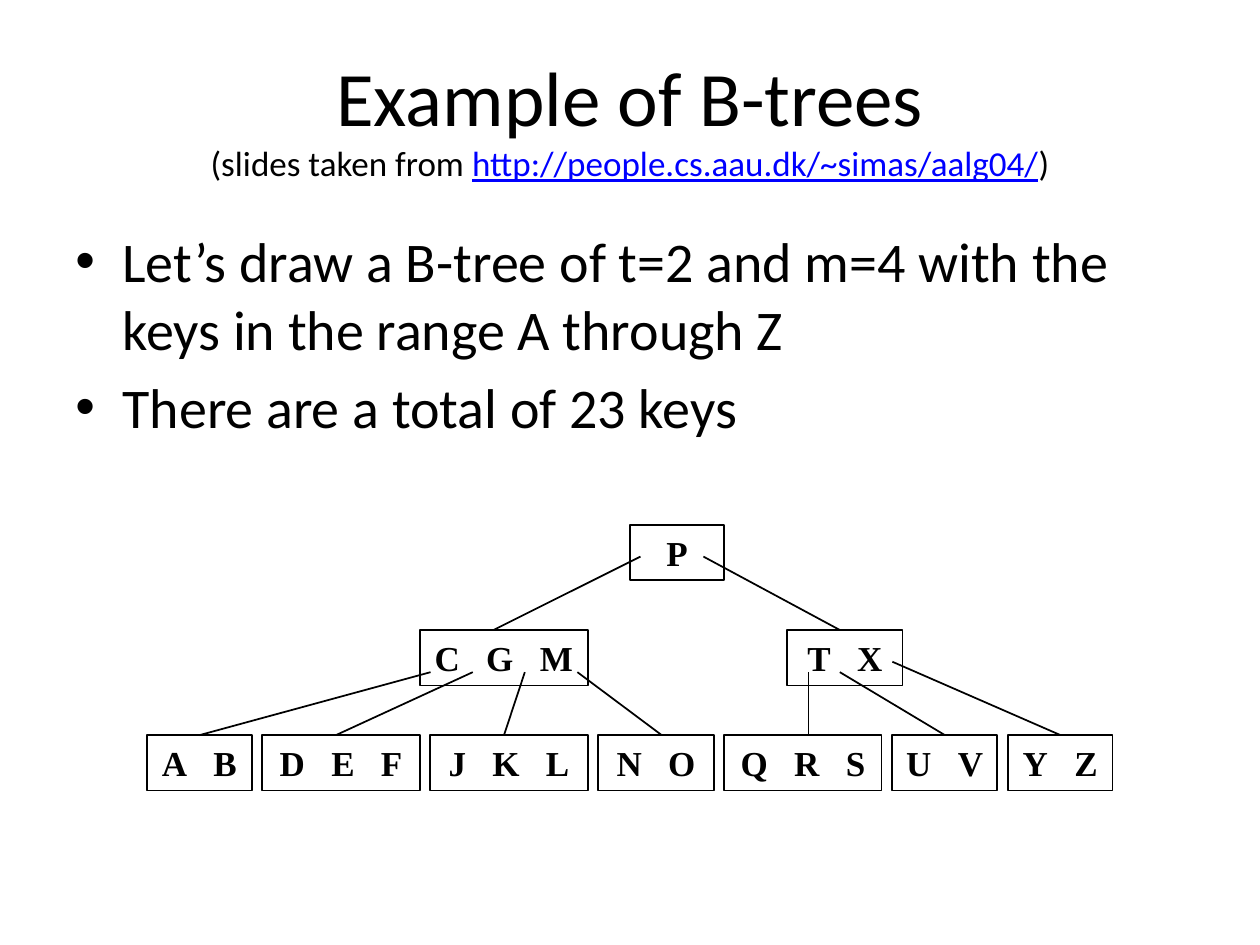
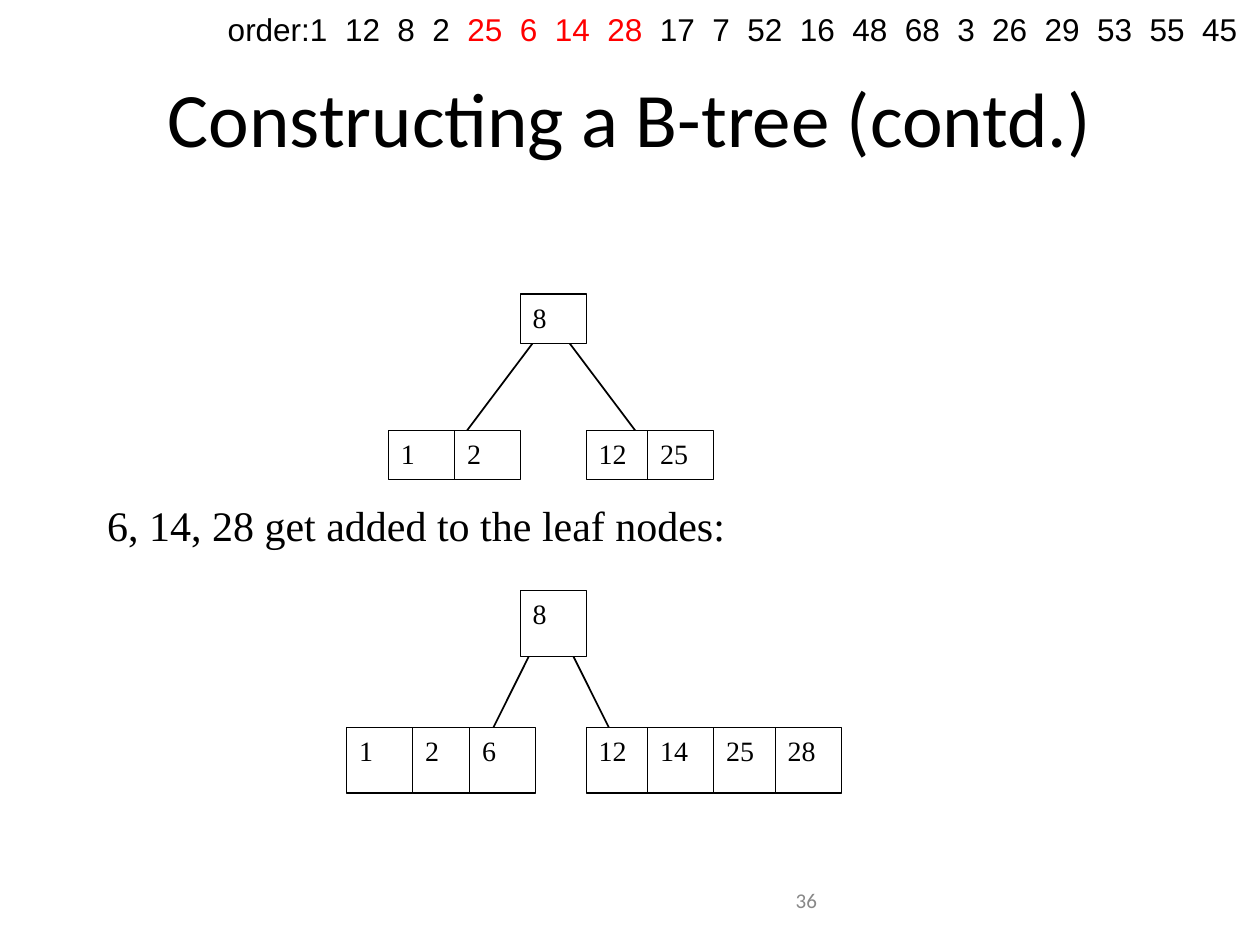
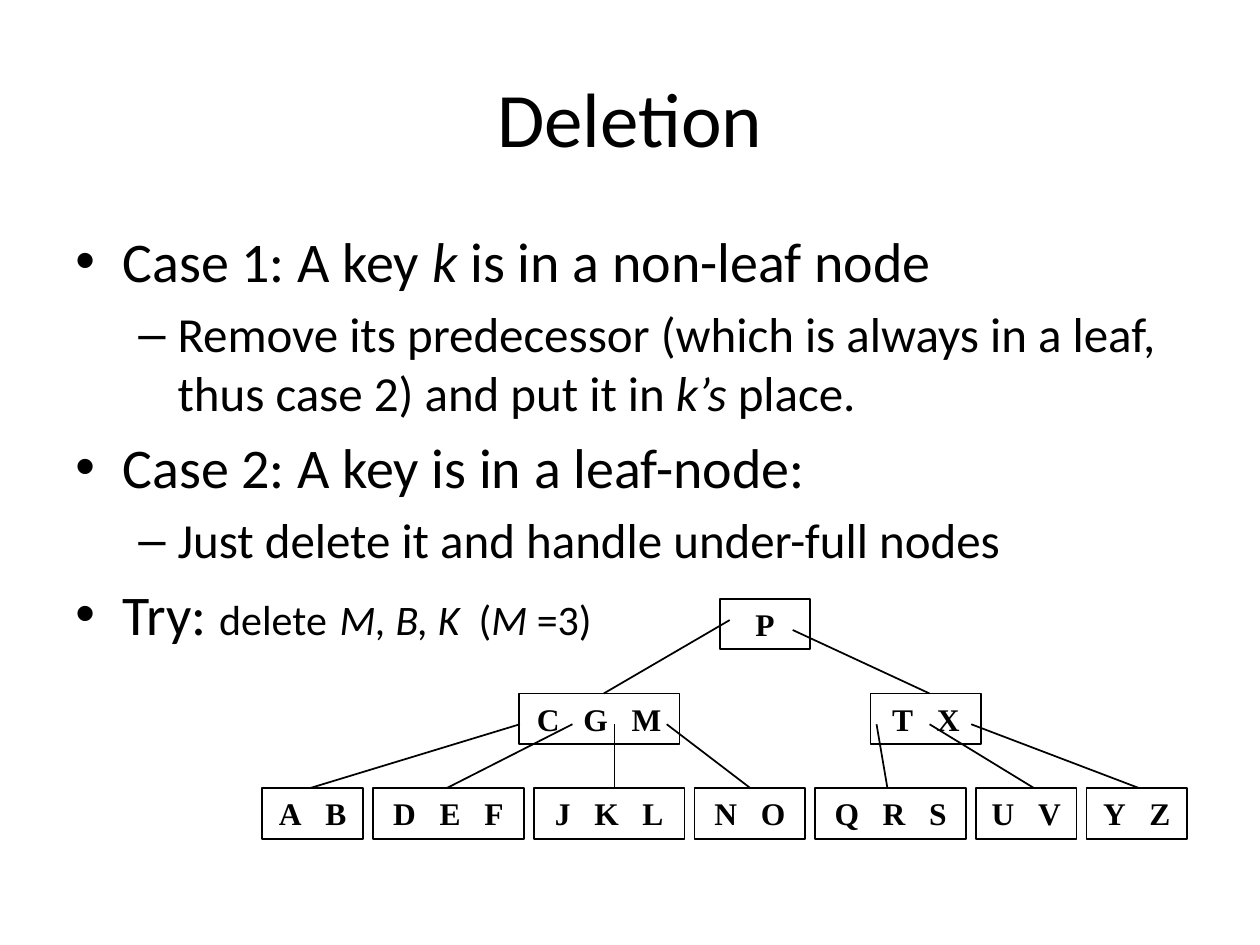
from dataclasses import dataclass

from lxml import etree
from pptx import Presentation
from pptx.dml.color import RGBColor
from pptx.enum.shapes import MSO_CONNECTOR, MSO_SHAPE
from pptx.enum.text import MSO_ANCHOR, PP_ALIGN
from pptx.oxml.ns import qn
from pptx.util import Cm, Pt

LEFT, CENTER, RIGHT = PP_ALIGN.LEFT, PP_ALIGN.CENTER, PP_ALIGN.RIGHT
TOP, MIDDLE = MSO_ANCHOR.TOP, MSO_ANCHOR.MIDDLE
RECT, STRAIGHT = MSO_SHAPE.RECTANGLE, MSO_CONNECTOR.STRAIGHT


@dataclass(frozen=True)
class Theme:
    ink: RGBColor = RGBColor(0, 0, 0)
    paper: RGBColor = RGBColor(255, 255, 255)
    link: RGBColor = RGBColor(0, 0, 255)
    mark: RGBColor = RGBColor(255, 0, 0)
    grey: RGBColor = RGBColor(0x88, 0x88, 0x88)
    sans: str = "Calibri"
    serif: str = "Times New Roman"
    plain: str = "Arial"
    title: float = 44
    source: float = 20
    point: float = 32
    sub: float = 28
    note: float = 24
    order: float = 18
    cell: float = 16
    foot: float = 12


THEME = Theme()


@dataclass(frozen=True)
class Tree:
    """Place of the letter tree; lengths in cm, shift in grid units."""
    left: float
    top: float
    span: float
    step: float
    high: float
    size: float
    shift: float
    lines: tuple  # per level: (start x, start y, end x)


# Widths and offsets are counted in grid units, one unit between leaves.
ROOT = (("P", 46, 9),)
INNER = (("CGM", 26, 16), ("TX", 61, 11))
LEAVES = (("AB", 10), ("DEF", 15), ("JKL", 15), ("NO", 11),
          ("QRS", 15), ("UV", 10), ("YZ", 10))
UNITS = sum(wide for _, wide in LEAVES) + len(LEAVES) - 1

LARGE = Tree(2.96, 10.58, 19.47, 2.12, 1.12, 20, 0, (
    ((12.91, 11.22, 9.95), (14.18, 11.22, 16.93)),
    ((8.68, 13.55, 4.02), (9.53, 13.55, 6.77), (10.58, 13.55, 10.16),
     (11.64, 13.55, 13.34), (16.3, 13.55, 16.3), (16.93, 13.55, 19.05),
     (17.99, 13.34, 21.38))))
SMALL = Tree(5.29, 12.07, 18.64, 1.91, 1.02, 18, -0.5, (
    ((14.71, 12.5, 12.17), (15.98, 12.7, 18.74)),
    ((10.48, 14.6, 6.24), (11.54, 14.6, 9), (12.39, 14.6, 12.39),
     (13.44, 14.6, 15.13), (17.67, 14.6, 17.89), (18.74, 14.6, 20.85),
     (19.58, 14.6, 22.97))))


def style(par, size, face, color=THEME.ink, bold=False, align=LEFT):
    par.alignment = align
    font = par.font
    font.size, font.name, font.bold = Pt(size), face, bold
    font.color.rgb = color


def add_run(par, text, size=None, color=None, italic=None, under=None, gap=0):
    """Add a run that states only what differs; gap widens it, in points."""
    run = par.add_run()
    run.text = text
    font = run.font
    if size:
        font.size = Pt(size)
    if color is not None:
        font.color.rgb = color
    font.italic, font.underline = italic, under
    if gap:
        font._element.set("spc", str(round(gap * 100)))


def add_words(par, words, gap, marked=()):
    """Write words with widened spaces between them."""
    for i, word in enumerate(words):
        if i:
            add_run(par, " ", gap=gap)
        add_run(par, word, color=THEME.mark if word in marked else None)


def add_box(slide, left, top, wide, high, anchor=TOP):
    box = slide.shapes.add_textbox(Cm(left), Cm(top), Cm(wide), Cm(high))
    frame = box.text_frame
    frame.word_wrap, frame.vertical_anchor = True, anchor
    return frame


def add_title(slide, text):
    par = add_box(slide, 1.27, 0.76, 22.86, 3.18, MIDDLE).paragraphs[0]
    style(par, THEME.title, THEME.sans, align=CENTER)
    add_run(par, text)
    return par


def add_body(slide, items):
    """Add bulleted items, each a level and its (text, format) runs."""
    frame = add_box(slide, 1.27, 4.45, 22.86, 12.57)
    for i, (level, runs) in enumerate(items):
        par = frame.add_paragraph() if i else frame.paragraphs[0]
        mark, indent, hang, size, before = (
            ("–", 2.06, 0.79, THEME.sub, 5.6) if level else
            ("•", 0.95, 0.95, THEME.point, 6.4))
        props = par._p.get_or_add_pPr()
        props.set("marL", str(Cm(indent)))
        props.set("indent", str(-Cm(hang)))
        face = etree.SubElement(props, qn("a:buFont"))
        face.set("typeface", THEME.plain)
        etree.SubElement(props, qn("a:buChar")).set("char", mark)
        style(par, size, THEME.sans)
        par.space_before = Pt(before if i else 0)
        for text, form in runs:
            add_run(par, text, **form)


def add_line(slide, x1, y1, x2, y2):
    line = slide.shapes.add_connector(STRAIGHT, Cm(x1), Cm(y1), Cm(x2), Cm(y2))
    line.line.color.rgb, line.line.width = THEME.ink, Pt(1)
    etree.SubElement(line._element.spPr, qn("a:effectLst"))


def add_rect(slide, left, top, wide, high, width):
    rect = slide.shapes.add_shape(RECT, Cm(left), Cm(top), Cm(wide), Cm(high))
    rect.shadow.inherit = False
    rect.line.color.rgb, rect.line.width = THEME.ink, Pt(width)
    rect.text_frame.vertical_anchor = TOP
    return rect


def add_node(slide, keys, left, top, wide, tree):
    node = add_rect(slide, left, top, wide, tree.high, 1)
    node.fill.background()
    node.text_frame.word_wrap = False
    par = node.text_frame.paragraphs[0]
    style(par, tree.size, THEME.serif, bold=True, align=CENTER)
    add_words(par, keys, tree.size / 2)


def add_tree(slide, tree):
    unit = tree.span / UNITS
    for level, row in enumerate((ROOT, INNER)):
        for keys, start, wide in row:
            add_node(slide, keys, tree.left + (start + tree.shift) * unit,
                     tree.top + level * tree.step, wide * unit, tree)
    start = 0
    for keys, wide in LEAVES:
        add_node(slide, keys, tree.left + start * unit,
                 tree.top + 2 * tree.step, wide * unit, tree)
        start += wide + 1
    for level, lines in enumerate(tree.lines, 1):
        for x1, y1, x2 in lines:
            add_line(slide, x1, y1, x2, tree.top + level * tree.step)


def add_cells(slide, root, leaf, high, reach, drop, cells):
    """Draw root 8 over leaf cells; branches mirror about a middle axis."""
    axis, wide, start = 11.11, 1.33, root + 0.64
    for side in (-1, 1):
        add_line(slide, axis + side * 0.11, start,
                 axis + side * reach, start + drop)
    for key, left, top in [(8, 10.49, root)] + [(k, x, leaf) for k, x in cells]:
        cell = add_rect(slide, left, top, wide, high, 0.75)
        cell.fill.solid()
        cell.fill.fore_color.rgb = THEME.paper
        par = cell.text_frame.paragraphs[0]
        style(par, THEME.cell, THEME.serif)
        add_run(par, str(key))


def example(slide):
    par = add_title(slide, "Example of B-trees")
    par.add_line_break()
    size = THEME.source
    add_run(par, "(slides taken from ", size)
    add_run(par, "http://people.cs.aau.dk/~simas/aalg04/", size,
            THEME.link, under=True)
    add_run(par, ")", size)
    add_body(slide, (
        (0, [("Let’s draw a B-tree of t=2 and m=4 with the keys "
              "in the range A through Z", {})]),
        (0, [("There are a total of 23 keys", {})])))
    add_tree(slide, LARGE)


def construct(slide):
    foot = add_box(slide, 8.68, 17.65, 8.04, 1.01, MIDDLE).paragraphs[0]
    style(foot, THEME.foot, THEME.sans, THEME.grey, align=RIGHT)
    add_run(foot, "36")
    add_title(slide, "Constructing a B-tree (contd.)")
    add_cells(slide, 5.93, 8.68, 0.99, 2.02, 2.54,
              ((1, 7.83), (2, 9.17), (12, 11.82), (25, 13.06)))
    step = add_box(slide, 1.91, 9.95, 21.17, 1.31).paragraphs[0]
    style(step, THEME.note, THEME.serif)
    add_run(step, "6, 14, 28 get added to the leaf nodes:")
    add_cells(slide, 11.91, 14.66, 1.33, 1.43, 2.65,
              ((1, 6.99), (2, 8.32), (6, 9.47),
               (12, 11.82), (14, 13.06), (25, 14.39), (28, 15.63)))
    order = add_box(slide, 2.54, 0.08, 22.65, 1.03).paragraphs[0]
    style(order, THEME.order, THEME.plain, align=RIGHT)
    words = ("order:1 12 8 2 25 6 14 28 17 7 52 16 48 68 3 "
             "26 29 53 55 45").split()
    add_words(order, words, 5, ("25", "6", "14", "28"))


def delete(slide):
    add_title(slide, "Deletion")
    note = {"size": THEME.note}
    slant = {"italic": True}
    add_body(slide, (
        (0, [("Case 1: A key ", {}), ("k", slant),
             (" is in a non-leaf node", {})]),
        (1, [("Remove its predecessor (which is always in a leaf, "
              "thus case 2) and put it in ", {}),
             ("k’s ", slant), ("place.", {})]),
        (0, [("Case 2: A key is in a leaf-node:", {})]),
        (1, [("Just delete it and handle under-full nodes", {})]),
        (0, [("Try: ", {}), ("delete", note), (" ", {}),
             ("M, B, K", note | slant), (" ", note | {"gap": 5.4}),
             ("(", note), ("M", note | slant), (" =3)", note)])))
    add_tree(slide, SMALL)


def main():
    deck = Presentation()
    deck.slide_width, deck.slide_height = Cm(25.4), Cm(19.05)
    blank = deck.slide_layouts[6]
    for build in (example, construct, delete):
        build(deck.slides.add_slide(blank))
    deck.save("out.pptx")


if __name__ == "__main__":
    main()
